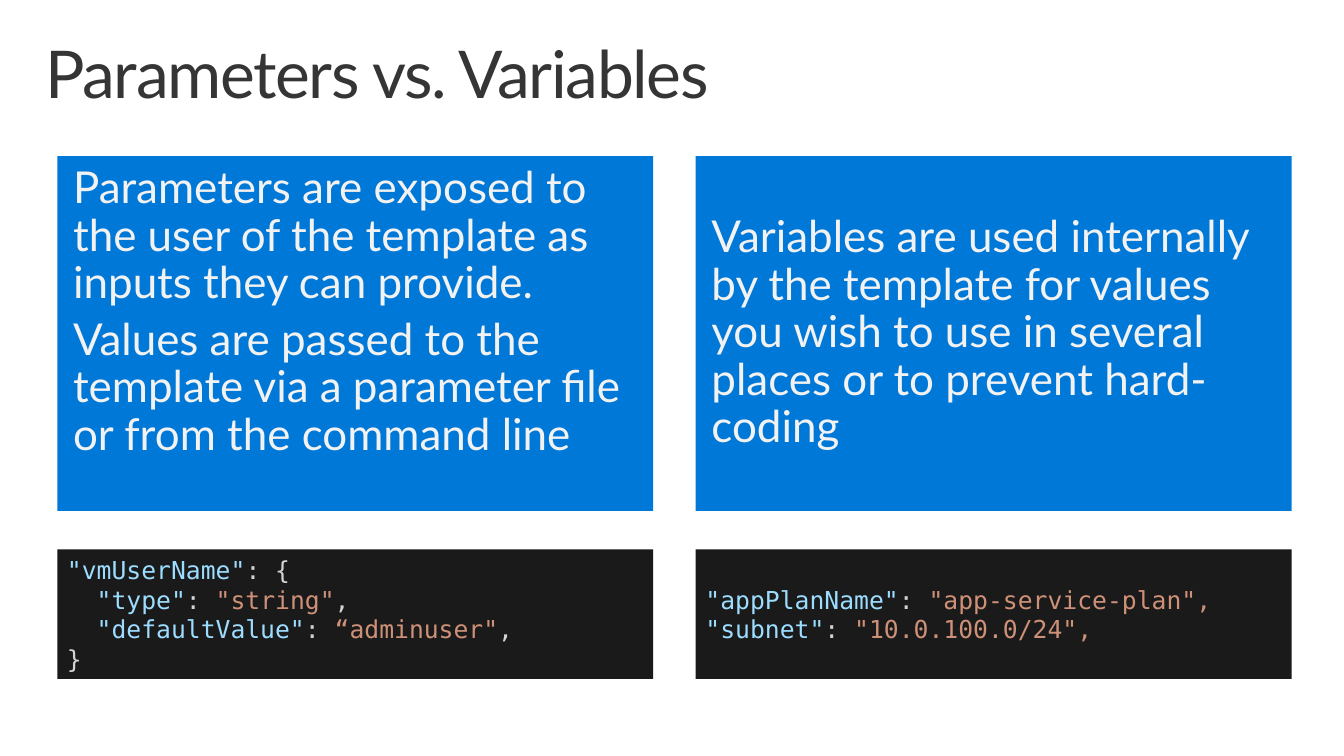
from pptx import Presentation
from pptx.dml.color import RGBColor
from pptx.enum.shapes import MSO_SHAPE
from pptx.enum.text import MSO_ANCHOR, PP_ALIGN
from pptx.util import Inches, Pt

BLUE = RGBColor(0x00, 0x78, 0xD7)
BLACK = RGBColor(0x1A, 0x1A, 0x1A)
DARK = RGBColor(0x35, 0x35, 0x35)
PALE = RGBColor(0xF2, 0xF2, 0xF2)
KEY = RGBColor(0x9C, 0xDC, 0xFE)
MARK = RGBColor(0xD4, 0xD4, 0xD4)
VALUE = RGBColor(0xCE, 0x91, 0x78)

TITLE = "Parameters vs. Variables"
COLUMNS = [
    {
        "anchor": MSO_ANCHOR.TOP,
        "text": [
            "Parameters are exposed to the user of the template as inputs they can provide.",
            "Values are passed to the template via a parameter file or from the command line",
        ],
        "code": [
            (0, [('"vmUserName"', KEY), (": {", MARK)]),
            (1, [('"type"', KEY), (": ", MARK), ('"string"', VALUE), (",", MARK)]),
            (1, [('"defaultValue"', KEY), (": ", MARK), ('“adminuser"', VALUE), (",", MARK)]),
            (0, [("}", MARK)]),
        ],
    },
    {
        "anchor": MSO_ANCHOR.MIDDLE,
        "text": [
            "Variables are used internally by the template for values you wish "
            "to use in several places or to prevent hard-coding",
        ],
        "code": [
            (0, [('"appPlanName"', KEY), (": ", MARK), ('"app-service-plan",', VALUE)]),
            (0, [('"subnet"', KEY), (": ", MARK), ('"10.0.100.0/24",', VALUE)]),
        ],
    },
]

LEFT, PITCH, WIDTH = 0.58, 6.46, 6.03
TEXT_TOP, TEXT_HEIGHT = 1.58, 3.59
CODE_TOP, CODE_HEIGHT = 5.56, 1.31
CODE_INDENT = 0.3

TITLE_FONT = {"name": "Lato", "size": Pt(48), "bold": False}
TEXT_FONT = {"name": "Lato", "size": Pt(32)}
CODE_FONT = {"name": "DejaVu Sans Mono", "size": Pt(18)}


def set_all(obj, values):
    for name, value in values.items():
        setattr(obj, name, value)


def set_frame(tf, anchor, side, edge):
    set_all(tf, {
        "word_wrap": True, "vertical_anchor": anchor,
        "margin_left": Inches(side), "margin_right": Inches(side),
        "margin_top": Inches(edge), "margin_bottom": Inches(edge),
    })


def add_run(p, text, font, color):
    r = p.add_run()
    r.text = text
    set_all(r.font, font)
    r.font.color.rgb = color
    return r


def add_panel(s, column, top, height, fill, paragraphs, font, spacing, frame):
    sp = s.shapes.add_shape(MSO_SHAPE.RECTANGLE, Inches(LEFT + column * PITCH),
                            Inches(top), Inches(WIDTH), Inches(height))
    sp.shadow.inherit = False
    sp.fill.solid()
    sp.fill.fore_color.rgb = fill
    sp.line.fill.background()
    tf = sp.text_frame
    set_frame(tf, *frame)
    for i, (level, runs) in enumerate(paragraphs):
        p = tf.add_paragraph() if i else tf.paragraphs[0]
        set_all(p, {"alignment": PP_ALIGN.LEFT, **spacing})
        if i == 0:
            p.space_before = Pt(0)
        if level:
            p._p.get_or_add_pPr().set("marL", str(Inches(level * CODE_INDENT)))
        for text, color in runs:
            add_run(p, text, font, color)


prs = Presentation()
set_all(prs, {"slide_width": Inches(13.6), "slide_height": Inches(7.65)})
s = prs.slides.add_slide(prs.slide_layouts[5])

title = s.shapes.title
set_all(title, {"left": Inches(0.3), "top": Inches(0.32),
                "width": Inches(13), "height": Inches(1)})
set_frame(title.text_frame, MSO_ANCHOR.TOP, 0.16, 0.1)
p = title.text_frame.paragraphs[0]
set_all(p, {"alignment": PP_ALIGN.LEFT, "line_spacing": 0.9})
r = add_run(p, TITLE, TITLE_FONT, DARK)
r.font._element.set("spc", "-100")

for i, column in enumerate(COLUMNS):
    prose = [(0, [(text, PALE)]) for text in column["text"]]
    add_panel(s, i, TEXT_TOP, TEXT_HEIGHT, BLUE, prose, TEXT_FONT,
              {"line_spacing": 0.9, "space_before": Pt(6.4)},
              (column["anchor"], 0.16, 0.1))
    add_panel(s, i, CODE_TOP, CODE_HEIGHT, BLACK, column["code"], CODE_FONT,
              {}, (MSO_ANCHOR.MIDDLE, 0.1, 0.05))

prs.save("out.pptx")
